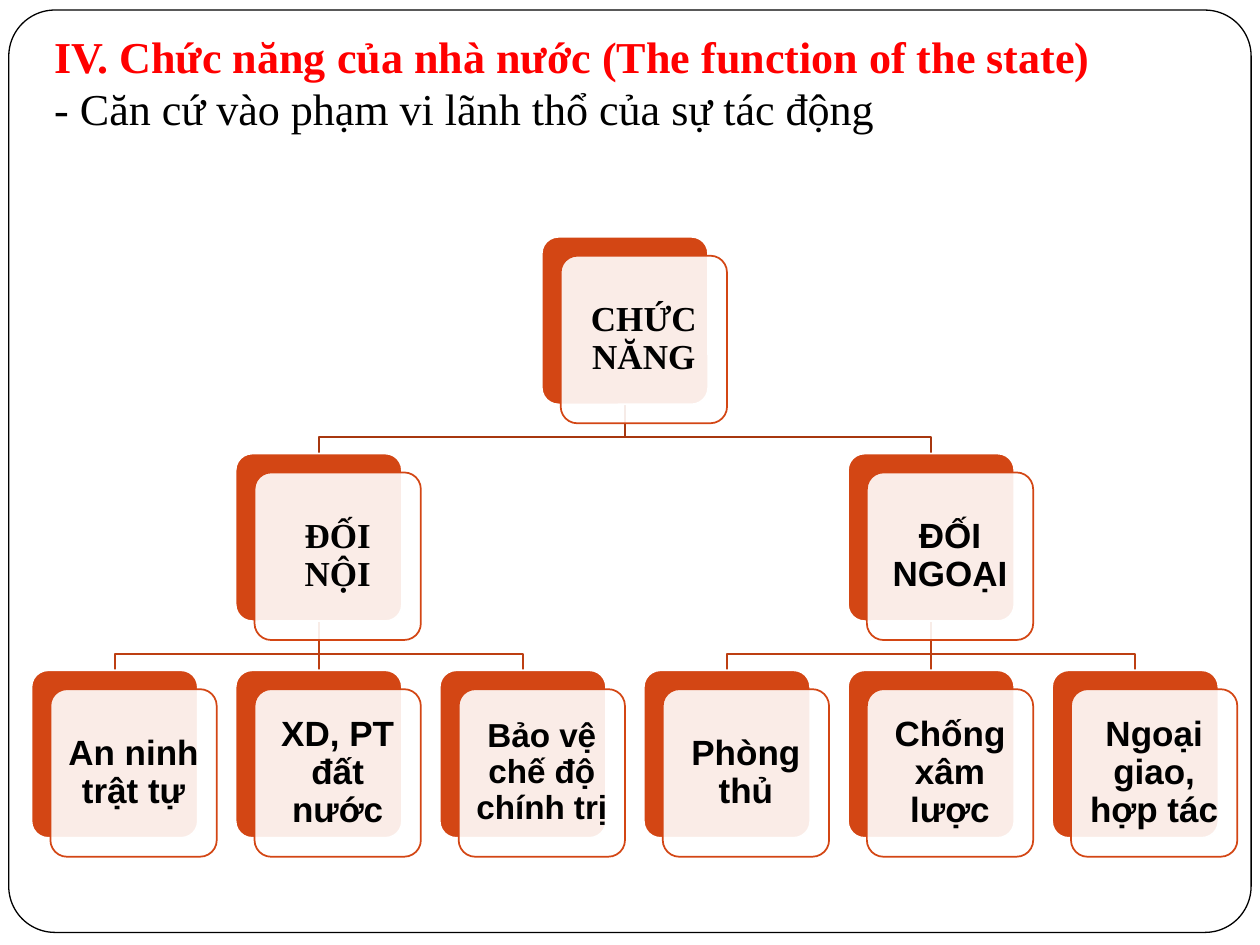
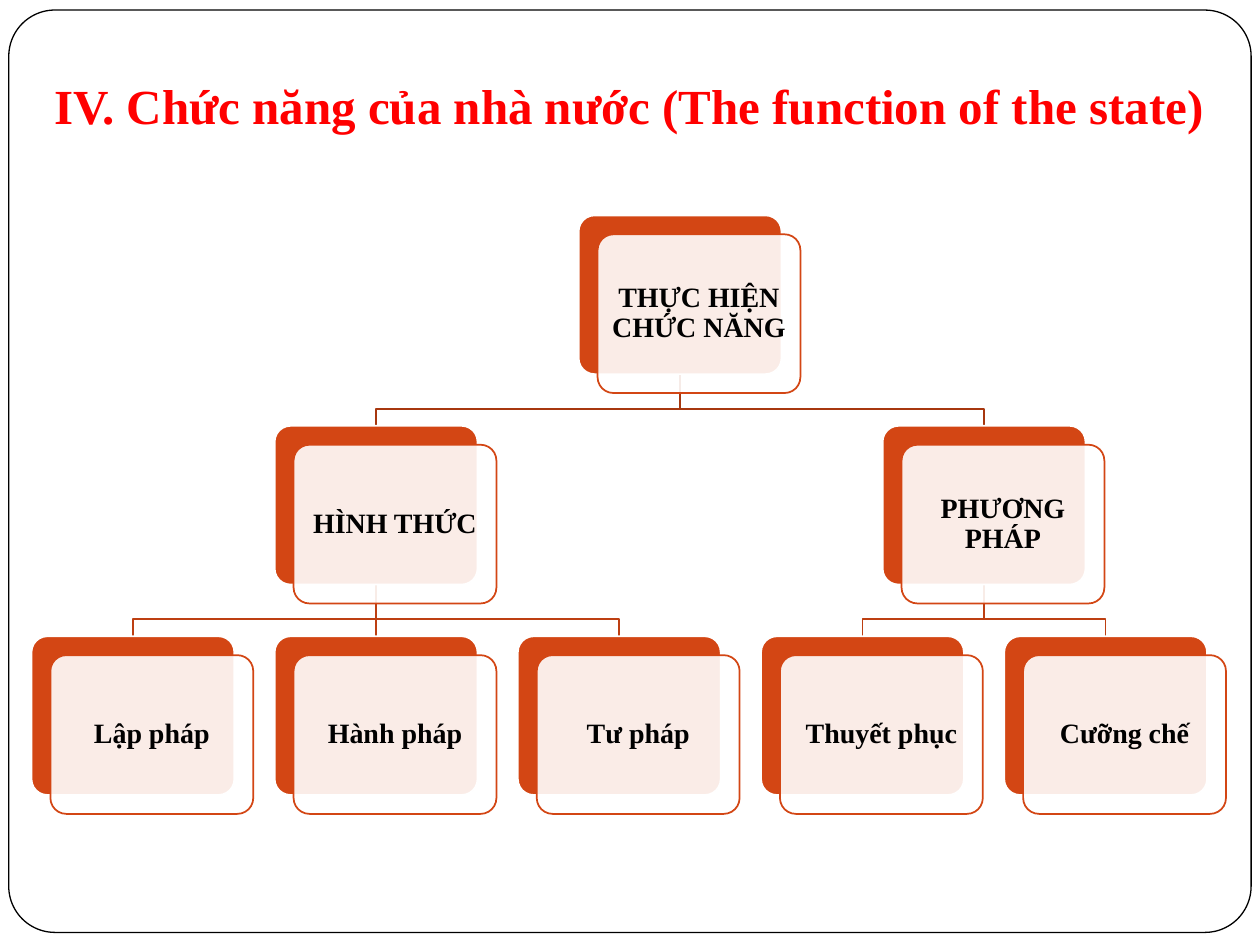
from dataclasses import dataclass

from lxml import etree
from pptx import Presentation
from pptx import util as u
from pptx.dml.color import RGBColor
from pptx.enum import shapes, text
from pptx.oxml import ns

BLACK = RGBColor(0x00, 0x00, 0x00)
WHITE = RGBColor(0xFF, 0xFF, 0xFF)
RED = RGBColor(0xFF, 0x00, 0x00)
RUST = RGBColor(0xD3, 0x46, 0x14)
WIRES = (RGBColor(0xA7, 0x37, 0x0F), RGBColor(0xBD, 0x3F, 0x12))
SERIF = "Times New Roman"
SANS = "Arial"
HEAD = "IV. Chức năng của nhà nước (The function of the state)"
SHIFT = u.Inches(0.15)


@dataclass(frozen=True)
class Node:
    label: str
    kids: tuple["Node", ...] = ()
    face: str = SERIF
    size: float = 0


@dataclass(frozen=True)
class Grid:
    left: u.Length
    top: u.Length
    wide: u.Length
    high: u.Length
    step: u.Length
    pitch: u.Length
    pad: u.Length
    size: float


@dataclass(frozen=True)
class Page:
    lines: tuple[str, ...]
    size: float
    top: u.Length
    high: u.Length
    grid: Grid
    root: Node


PAGES = (
    Page(
        (HEAD, "- Căn cứ vào phạm vi lãnh thổ của sự tác động"),
        25.2, u.Inches(0.25), u.Inches(0.92),
        Grid(u.Inches(0.25), u.Inches(1.88), u.Inches(1.32), u.Inches(1.33),
             u.Inches(1.62), u.Inches(1.72), u.Inches(0.08), 20),
        Node("CHỨC NĂNG", (
            Node("ĐỐI NỘI", (
                Node("An ninh trật tự", face=SANS),
                Node("XD, PT đất nước", face=SANS),
                Node("Bảo vệ chế độ chính trị", face=SANS, size=19),
            )),
            Node("ĐỐI NGOẠI", (
                Node("Phòng thủ", face=SANS),
                Node("Chống xâm lược", face=SANS),
                Node("Ngoại giao, hợp tác", face=SANS),
            ), SANS),
        )),
    ),
    Page(
        (HEAD,), 28, u.Inches(0.5), u.Inches(0.67),
        Grid(u.Inches(0.25), u.Inches(1.71), u.Inches(1.61), u.Inches(1.26),
             u.Inches(1.93), u.Inches(1.67), u.Inches(0.07), 16),
        Node("THỰC HIỆN CHỨC NĂNG", (
            Node("HÌNH THỨC", (
                Node("Lập pháp"), Node("Hành pháp"), Node("Tư pháp"),
            )),
            Node("PHƯƠNG PHÁP", (
                Node("Thuyết phục"), Node("Cưỡng chế"),
            )),
        )),
    ),
)


def add_plate(slide, left: int, top: int, wide: int, high: int,
              fill: RGBColor, edge: RGBColor, curve: float = 0.1, rim: float = 1):
    plate = slide.shapes.add_shape(
        shapes.MSO_SHAPE.ROUNDED_RECTANGLE, left, top, wide, high)
    plate.adjustments[0] = curve
    plate.shadow.inherit = False
    plate.fill.solid()
    plate.fill.fore_color.rgb = fill
    plate.line.color.rgb = edge
    plate.line.width = u.Pt(rim)
    return plate


def add_frame(slide) -> None:
    frame = add_plate(slide, u.Inches(0.07), u.Inches(0.08), u.Inches(9.86),
                      u.Inches(7.32), WHITE, BLACK, 0.05, 0.75)
    frame.element.xpath(".//p:cNvPr")[0].set("id", "20")
    slide.slide_layout.shapes.element.insert(2, frame.element)


def set_title(slide, page: Page) -> None:
    title = slide.shapes.title
    title.left, title.top = u.Inches(0.33), page.top
    title.width, title.height = u.Inches(9.5), page.high
    body = title.text_frame
    body.auto_size = text.MSO_AUTO_SIZE.NONE
    body.vertical_anchor = text.MSO_ANCHOR.BOTTOM
    body.margin_left = body.margin_right = body.margin_bottom = u.Inches(0.1)
    body.margin_top = u.Inches(0.05)
    para = body.paragraphs[0]
    para.text = "\v".join(page.lines)
    para.alignment = text.PP_ALIGN.LEFT
    for index, run in enumerate(para.runs):
        run.font.name = SERIF
        run.font.size = u.Pt(page.size)
        run.font.bold = index == 0
        run.font.color.rgb = BLACK if index else RED


def add_card(slide, grid: Grid, node: Node, left: int, top: int):
    back = add_plate(slide, left, top, grid.wide, grid.high, RUST, WHITE)
    front = add_plate(slide, left + SHIFT, top + SHIFT, grid.wide, grid.high,
                      WHITE, RUST)
    tint = front.element.spPr.find(ns.qn("a:solidFill"))[0]
    etree.SubElement(tint, ns.qn("a:alpha")).set("val", "90000")
    body = front.text_frame
    body.word_wrap = True
    body.vertical_anchor = text.MSO_ANCHOR.MIDDLE
    body.margin_left = body.margin_right = grid.pad
    body.margin_top = body.margin_bottom = grid.pad
    body.text = node.label
    para = body.paragraphs[0]
    para.alignment = text.PP_ALIGN.CENTER
    para.line_spacing = 0.9
    font = para.runs[0].font
    font.name = node.face
    font.size = u.Pt(node.size or grid.size)
    font.bold = True
    font.color.rgb = BLACK
    return back


def add_wire(slide, upper, lower, hue: RGBColor) -> None:
    start = upper.left + upper.width // 2
    end = lower.left + lower.width // 2
    base = upper.top + upper.height
    if abs(start - end) < u.Inches(0.01):
        wire = slide.shapes.add_connector(
            shapes.MSO_CONNECTOR.STRAIGHT, start, base, end, lower.top)
        wire.begin_connect(upper, 2)
        wire.end_connect(lower, 0)
        etree.SubElement(wire.element.spPr, ns.qn("a:effectLst"))
    else:
        bend = base + (lower.top - base) * 2 // 3
        path = slide.shapes.build_freeform(start, base)
        path.add_line_segments(
            [(start, bend), (end, bend), (end, lower.top)], close=False)
        wire = path.convert_to_shape()
        wire.fill.background()
        wire.shadow.inherit = False
    wire.line.color.rgb = hue
    wire.line.width = u.Pt(1)
    slide.shapes.element.insert(3, wire.element)


def add_tree(slide, grid: Grid, node: Node, col: int = 0, row: int = 0):
    kids = []
    next_col = col
    for kid in node.kids:
        card, next_col = add_tree(slide, grid, kid, next_col, row + 1)
        kids.append(card)
    if kids:
        left = (kids[0].left + kids[-1].left) // 2
    else:
        left = grid.left + col * grid.step
        next_col = col + 1
    back = add_card(slide, grid, node, left, grid.top + row * grid.pitch)
    for card in kids:
        add_wire(slide, back, card, WIRES[row])
    return back, next_col


def main() -> None:
    deck = Presentation()
    deck.slide_width, deck.slide_height = u.Inches(10), u.Inches(7.5)
    for index, page in enumerate(PAGES):
        slide = deck.slides.add_slide(deck.slide_layouts[5])
        if index == 0:
            add_frame(slide)
        set_title(slide, page)
        add_tree(slide, page.grid, page.root)
    deck.save("out.pptx")


if __name__ == "__main__":
    main()
